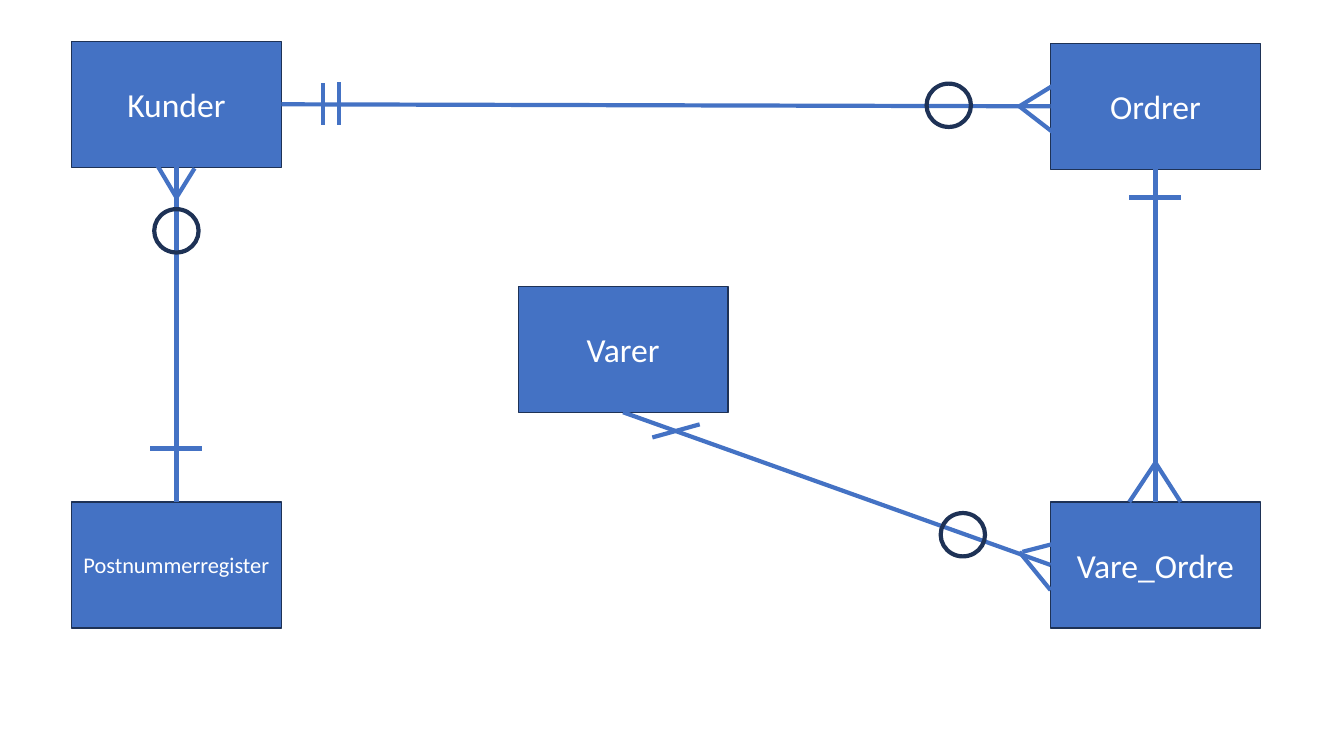
from lxml.etree import SubElement
from pptx import Presentation
from pptx.dml.color import RGBColor
from pptx.enum.shapes import MSO_CONNECTOR, MSO_SHAPE
from pptx.enum.text import MSO_ANCHOR, PP_ALIGN
from pptx.oxml.ns import qn
from pptx.util import Inches, Pt

COLORS = {"blue": "4472C4", "navy": "1E3256", "white": "FFFFFF"}
LEFT, MIDDLE, RIGHT = 0.71, 5.14, 10.42
BOX_W, BOX_H = 2.08, 1.25
RING_W, RING_H = 0.44, 0.43

ENTITIES = {
    "Varer": (MIDDLE, 2.84, 24),
    "Kunder": (LEFT, 0.41, 24),
    "Ordrer": (RIGHT, 0.43, 24),
    "Postnummerregister": (LEFT, 4.98, 16),
    "Vare_Ordre": (RIGHT, 4.98, 24),
}
SIDES = {
    "top": (0, 0.5, 0),
    "left": (1, 0, 0.5),
    "bottom": (2, 0.5, 1),
    "right": (3, 1, 0.5),
}
RELATIONS = [
    (("Kunder", "right"), ("Ordrer", "left")),
    (("Kunder", "bottom"), ("Postnummerregister", "top")),
    (("Ordrer", "bottom"), ("Vare_Ordre", "top")),
    (("Varer", "bottom"), ("Vare_Ordre", "left")),
]
STROKES = {
    ("Kunder", "right"): [(0.41, -0.21, 0.41, 0.21), (0.57, -0.22, 0.57, 0.21)],
    ("Ordrer", "left"): [(-0.31, 0, 0.13, 0.34), (-0.31, 0, 0.03, -0.21)],
    ("Kunder", "bottom"): [(0, 0.3, 0.18, 0.01), (0, 0.3, -0.22, -0.07)],
    ("Postnummerregister", "top"): [(-0.26, -0.53, 0.25, -0.53)],
    ("Ordrer", "bottom"): [(-0.26, 0.28, 0.25, 0.28)],
    ("Vare_Ordre", "top"): [(0.25, 0, 0, -0.39), (-0.26, 0, 0, -0.39)],
    ("Varer", "bottom"): [(0.29, 0.25, 0.76, 0.12)],
    ("Vare_Ordre", "left"): [(0, 0.25, -0.31, -0.13), (0.03, -0.21, -0.28, -0.13)],
}
RINGS = {
    ("Ordrer", "left"): (-1.01, -0.01),
    ("Kunder", "bottom"): (0, 0.63),
    ("Vare_Ordre", "left"): (-0.87, -0.3),
}


def rgb(name):
    return RGBColor.from_string(COLORS[name])


def add_outlined(s, kind, x, y, w, h, width):
    sp = s.shapes.add_shape(kind, *map(Inches, (x, y, w, h)))
    sp.shadow.inherit = False
    sp.line.color.rgb = rgb("navy")
    sp.line.width = Pt(width)
    return sp


def add_entity(s, name, x, y, size):
    sp = add_outlined(s, MSO_SHAPE.RECTANGLE, x, y, BOX_W, BOX_H, 1)
    sp.fill.solid()
    sp.fill.fore_color.rgb = rgb("blue")
    tf = sp.text_frame
    tf.word_wrap = True
    tf.vertical_anchor = MSO_ANCHOR.MIDDLE
    p = tf.paragraphs[0]
    p.alignment = PP_ALIGN.CENTER
    r = p.add_run()
    r.text = name
    for key, value in {"name": "Calibri", "size": Pt(size)}.items():
        setattr(r.font, key, value)
    r.font.color.rgb = rgb("white")
    return sp


def add_line(s, x1, y1, x2, y2):
    line = s.shapes.add_connector(
        MSO_CONNECTOR.STRAIGHT, *map(Inches, (x1, y1, x2, y2)))
    line.line.color.rgb = rgb("blue")
    line.line.width = Pt(3)
    SubElement(line._element.spPr, qn("a:effectLst"))
    return line


def anchor(end):
    name, side = end
    x, y, size = ENTITIES[name]
    site, across, down = SIDES[side]
    return x + across * BOX_W, y + down * BOX_H


def add_end(s, end):
    x, y = anchor(end)
    for x1, y1, x2, y2 in STROKES[end]:
        add_line(s, x + x1, y + y1, x + x2, y + y2)
    if end in RINGS:
        dx, dy = RINGS[end]
        ring = add_outlined(s, MSO_SHAPE.OVAL, x + dx - RING_W / 2,
                            y + dy - RING_H / 2, RING_W, RING_H, 3)
        ring.fill.background()


def main():
    prs = Presentation()
    prs.slide_width, prs.slide_height = Inches(13.33), Inches(7.5)
    s = prs.slides.add_slide(prs.slide_layouts[6])
    boxes = {name: add_entity(s, name, *place) for name, place in ENTITIES.items()}
    for start, finish in RELATIONS:
        line = add_line(s, *anchor(start), *anchor(finish))
        line.begin_connect(boxes[start[0]], SIDES[start[1]][0])
        line.end_connect(boxes[finish[0]], SIDES[finish[1]][0])
        for end in (start, finish):
            add_end(s, end)
    prs.save("out.pptx")


if __name__ == "__main__":
    main()
